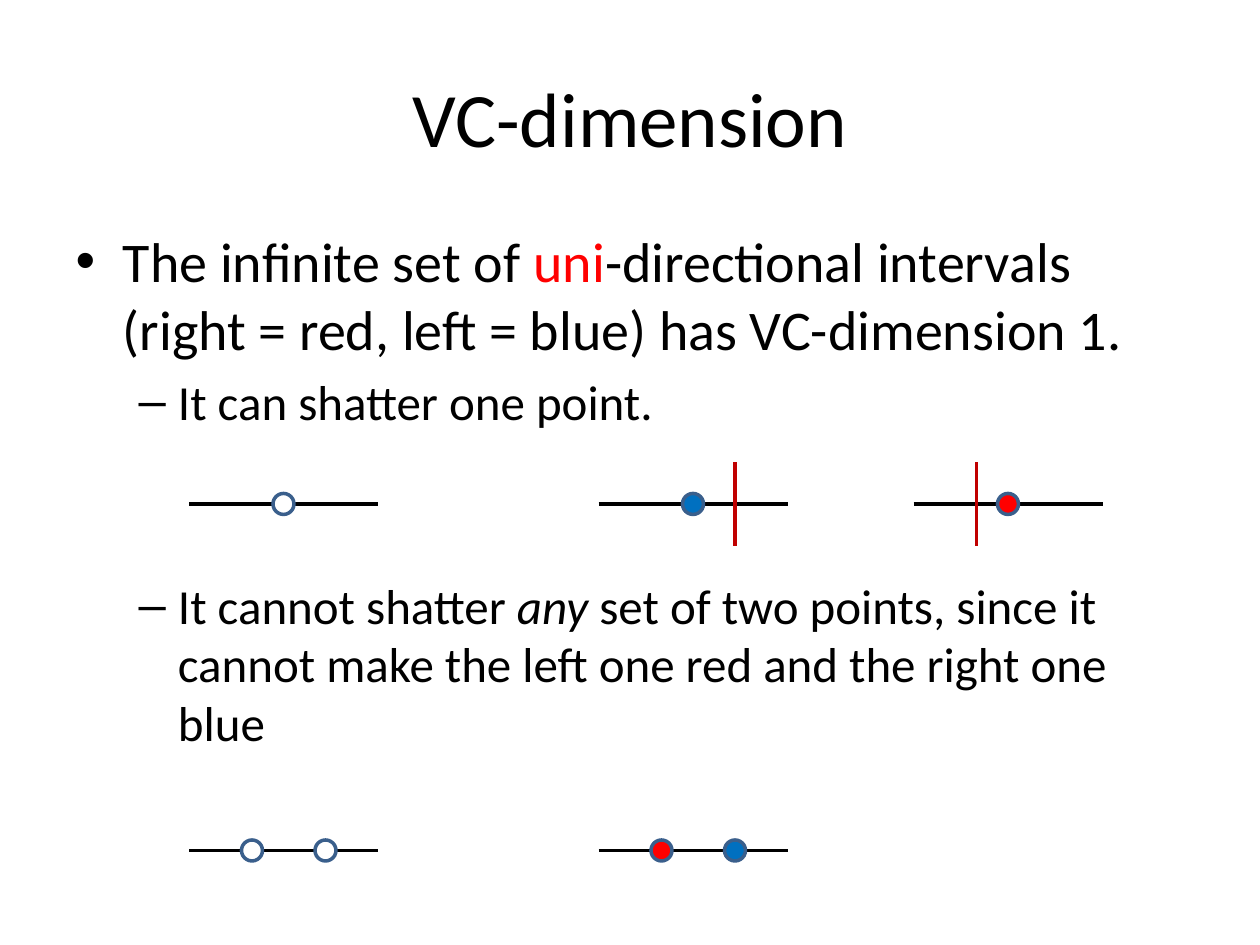
from lxml import etree
from pptx import Presentation
from pptx.dml.color import RGBColor
from pptx.enum.shapes import MSO_CONNECTOR, MSO_SHAPE
from pptx.enum.text import MSO_ANCHOR, MSO_AUTO_SIZE, PP_ALIGN
from pptx.oxml.ns import qn
from pptx.util import Pt

STRAIGHT, OVAL = MSO_CONNECTOR.STRAIGHT, MSO_SHAPE.OVAL
MIDDLE, CENTER, NO_AUTOFIT = MSO_ANCHOR.MIDDLE, PP_ALIGN.CENTER, MSO_AUTO_SIZE.NONE

COLORS = {"black": "000000", "white": "FFFFFF", "red": "FF0000", "blue": "0070C0",
          "outline": "3A5F8C", "threshold": "C00000"}
FONT = "Calibri"

TITLE = "VC-dimension"
# level, size, space before (None keeps the template's), spans of (text, format)
BODY = [
    (0, 32, None, [("The infinite set of ", {}), ("uni", {"color": "red"}),
                   ("-directional intervals (right = red, left = blue) has VC-dimension 1.", {})]),
    (1, 28, None, [("It can shatter one point.", {})]),
    (1, 28, 83, [("It cannot shatter ", {}), ("any", {"italic": True}),
                 (" set of two points, since it cannot make the left one red"
                  " and the right one blue", {})]),
]

# Offsets along an axis
LEFT, MIDPOINT, RIGHT = 36, 54, 78
ONE_POINT_Y, TWO_POINTS_Y = 288, 486
# axis left, axis y, points as (offset, color), threshold offset
DIAGRAMS = [
    (108, ONE_POINT_Y, [(MIDPOINT, "white")], None),
    (342, ONE_POINT_Y, [(MIDPOINT, "blue")], RIGHT),
    (522, ONE_POINT_Y, [(MIDPOINT, "red")], LEFT),
    (108, TWO_POINTS_Y, [(LEFT, "white"), (RIGHT, "white")], None),
    (342, TWO_POINTS_Y, [(LEFT, "red"), (RIGHT, "blue")], None),
]
AXIS_LENGTH, POINT_SIZE, THRESHOLD_HEIGHT, LINE_WIDTH = 108, 12, 48, 2


def rgb(name):
    return RGBColor.from_string(COLORS[name])


def place(box, left, top, width, height):
    frame = {"left": left, "top": top, "width": width, "height": height}
    for name, value in frame.items():
        setattr(box, name, Pt(value))
    box.text_frame.auto_size = NO_AUTOFIT


def add_span(para, text, size, color="black", italic=None):
    span = para.add_run()
    span.text = text
    for name, value in {"name": FONT, "size": Pt(size), "italic": italic}.items():
        setattr(span.font, name, value)
    span.font.color.rgb = rgb(color)


def add_line(page, start, end, color):
    line = page.shapes.add_connector(STRAIGHT, *map(Pt, start + end))
    line.line.color.rgb = rgb(color)
    line.line.width = Pt(LINE_WIDTH)
    etree.SubElement(line._element.spPr, qn("a:effectLst"))


def add_point(page, x, y, color):
    """Draw a dot centred on x, y."""
    half = POINT_SIZE / 2
    point = page.shapes.add_shape(OVAL, Pt(x - half), Pt(y - half), Pt(POINT_SIZE), Pt(POINT_SIZE))
    point.shadow.inherit = False
    point.fill.solid()
    point.fill.fore_color.rgb = rgb(color)
    point.line.color.rgb = rgb("outline")
    point.line.width = Pt(LINE_WIDTH)


def add_diagram(page, left, y, points, threshold):
    add_line(page, (left, y), (left + AXIS_LENGTH, y), "black")
    for offset, color in points:
        add_point(page, left + offset, y, color)
    if threshold is not None:
        x, half = left + threshold, THRESHOLD_HEIGHT / 2
        add_line(page, (x, y + half), (x, y - half), "threshold")


def main():
    deck = Presentation()
    deck.slide_width, deck.slide_height = Pt(720), Pt(540)
    page = deck.slides.add_slide(deck.slide_layouts[1])

    title, body = page.placeholders
    place(title, 36, 21.6, 648, 90)
    title.text_frame.vertical_anchor = MIDDLE
    title_para = title.text_frame.paragraphs[0]
    title_para.alignment = CENTER
    add_span(title_para, TITLE, 44)

    place(body, 36, 126, 648, 356.4)
    for index, (level, size, space_before, spans) in enumerate(BODY):
        text = body.text_frame
        para = text.add_paragraph() if index else text.paragraphs[0]
        para.level = level
        if space_before is not None:
            para.space_before = Pt(space_before)
        for words, style in spans:
            add_span(para, words, size, **style)

    for diagram in DIAGRAMS:
        add_diagram(page, *diagram)
    deck.save("out.pptx")


if __name__ == "__main__":
    main()
